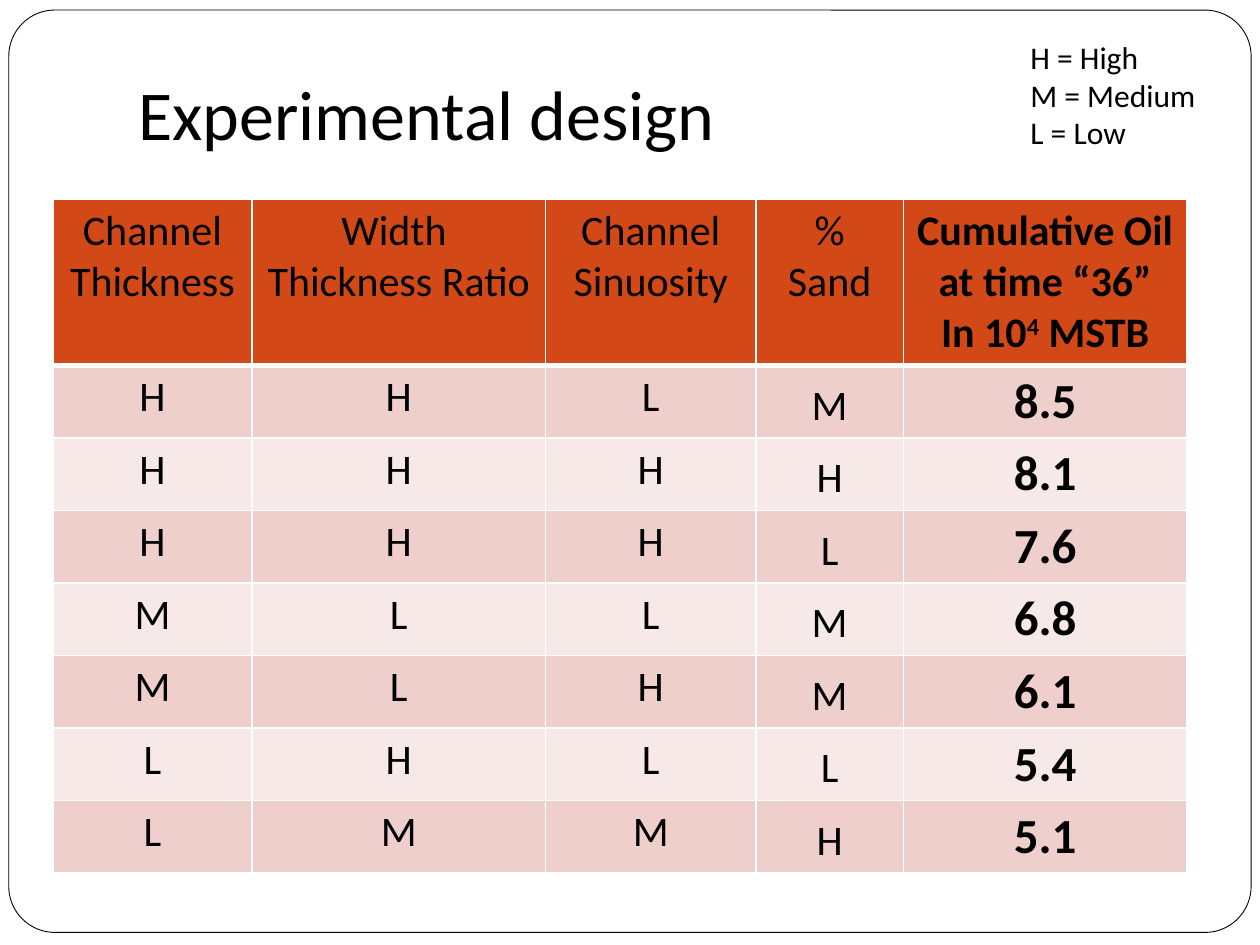
from lxml import etree
from pptx import Presentation
from pptx import util as u
from pptx.dml.color import RGBColor
from pptx.enum import shapes, text
from pptx.oxml.ns import qn

BLACK = RGBColor(0x00, 0x00, 0x00)
WHITE = RGBColor(0xFF, 0xFF, 0xFF)
RUST = RGBColor(0xD3, 0x48, 0x17)
BANDS = RGBColor(0xEF, 0xCF, 0xCC), RGBColor(0xF7, 0xE9, 0xE8)

WIDE, HIGH = 10, 7.5
COLS = 1.58, 2.33, 1.67, 1.17, 2.25
HEAD_H, ROW_H = 1.32, 0.57
SAND, OIL = 3, 4

HEADS = (
    ["Channel Thickness"],
    ["Width ", "Thickness Ratio"],
    ["Channel Sinuosity"],
    ["% Sand"],
    ["Cumulative Oil at time “36”", "In 10^4^ MSTB"],
)
RUNS = (
    ("H", "H", "L", "M", "8.5"),
    ("H", "H", "H", "H", "8.1"),
    ("H", "H", "H", "L", "7.6"),
    ("M", "L", "L", "M", "6.8"),
    ("M", "L", "H", "M", "6.1"),
    ("L", "H", "L", "L", "5.4"),
    ("L", "M", "M", "H", "5.1"),
)


def write(frame, lines, size=24, bold=False, align=text.PP_ALIGN.LEFT):
    """Fill a text frame, one paragraph a line; ^x^ marks a superscript."""
    for i, line in enumerate(lines):
        para = frame.paragraphs[0] if i == 0 else frame.add_paragraph()
        para.alignment = align
        for j, part in enumerate(line.split("^")):
            run = para.add_run()
            run.text = part
            font = run.font
            font.name, font.size, font.bold = "Calibri", u.Pt(size), bold
            font.color.rgb = BLACK
            if j % 2:
                font._element.set("baseline", "30000")


def place(shape, left, top, width, height):
    shape.left, shape.top = u.Inches(left), u.Inches(top)
    shape.width, shape.height = u.Inches(width), u.Inches(height)


def edge(cell, top=1, base=1):
    """Draw white borders; top and base are widths in points."""
    props = cell._tc.get_or_add_tcPr()
    sides = ("lnL", 1), ("lnR", 1), ("lnT", top), ("lnB", base)
    for i, (side, width) in enumerate(sides):
        line = etree.Element(qn("a:" + side), w=str(u.Pt(width)))
        fill = etree.SubElement(line, qn("a:solidFill"))
        etree.SubElement(fill, qn("a:srgbClr"), val=str(WHITE))
        props.insert(i, line)


def add_frame(slide):
    """Draw the rounded page border behind everything else."""
    box = slide.shapes.add_shape(
        shapes.MSO_SHAPE.ROUNDED_RECTANGLE, 0, 0, 0, 0)
    place(box, 0.07, 0.08, 9.86, 7.32)
    box.adjustments[0] = 0.05
    box.shadow.inherit = False
    box.fill.solid()
    box.fill.fore_color.rgb = WHITE
    box.line.color.rgb = BLACK
    box.line.width = u.Pt(0.5)
    slide.shapes._spTree.insert(2, box._element)


def add_title(slide, words):
    title = slide.shapes.title
    place(title, WIDE * 0.1, 0.08, WIDE * 0.85, HIGH / 6)
    frame = title.text_frame
    frame.auto_size = text.MSO_AUTO_SIZE.NONE
    frame.vertical_anchor = text.MSO_ANCHOR.BOTTOM
    frame.margin_bottom = u.Inches(0.1)
    write(frame, [words], size=40)


def add_grid(slide):
    rows = [HEADS] + [[[mark] for mark in run] for run in RUNS]
    shape = slide.shapes.add_table(
        len(rows), len(COLS), u.Inches(0.42), u.Inches(1.58),
        u.Inches(sum(COLS)), u.Inches(HEAD_H + ROW_H * len(RUNS)))
    table = shape.table
    for col, width in zip(table.columns, COLS):
        col.width = u.Inches(width)
    for r, row in enumerate(rows):
        table.rows[r].height = u.Inches(ROW_H if r else HEAD_H)
        for c, lines in enumerate(row):
            cell = table.cell(r, c)
            edge(cell, top=3 if r == 1 else 1, base=1 if r else 3)
            cell.fill.solid()
            cell.fill.fore_color.rgb = BANDS[(r - 1) % 2] if r else RUST
            if r and c == SAND:
                cell.vertical_anchor = text.MSO_ANCHOR.BOTTOM
            write(cell.text_frame, lines, size=28 if r and c == OIL else 24,
                  bold=c == OIL, align=text.PP_ALIGN.CENTER)


def add_key(slide, lines):
    box = slide.shapes.add_textbox(0, 0, 0, 0)
    place(box, 8.08, 0.25, 1.53, 1.01)
    box.text_frame.word_wrap = False
    box.text_frame.auto_size = text.MSO_AUTO_SIZE.SHAPE_TO_FIT_TEXT
    write(box.text_frame, lines, size=18)


def main():
    deck = Presentation()
    deck.slide_width, deck.slide_height = u.Inches(WIDE), u.Inches(HIGH)
    slide = deck.slides.add_slide(deck.slide_layouts[5])
    add_frame(slide)
    add_title(slide, "Experimental design")
    add_grid(slide)
    add_key(slide, ["H = High", "M = Medium", "L = Low"])
    deck.save("out.pptx")


if __name__ == "__main__":
    main()
